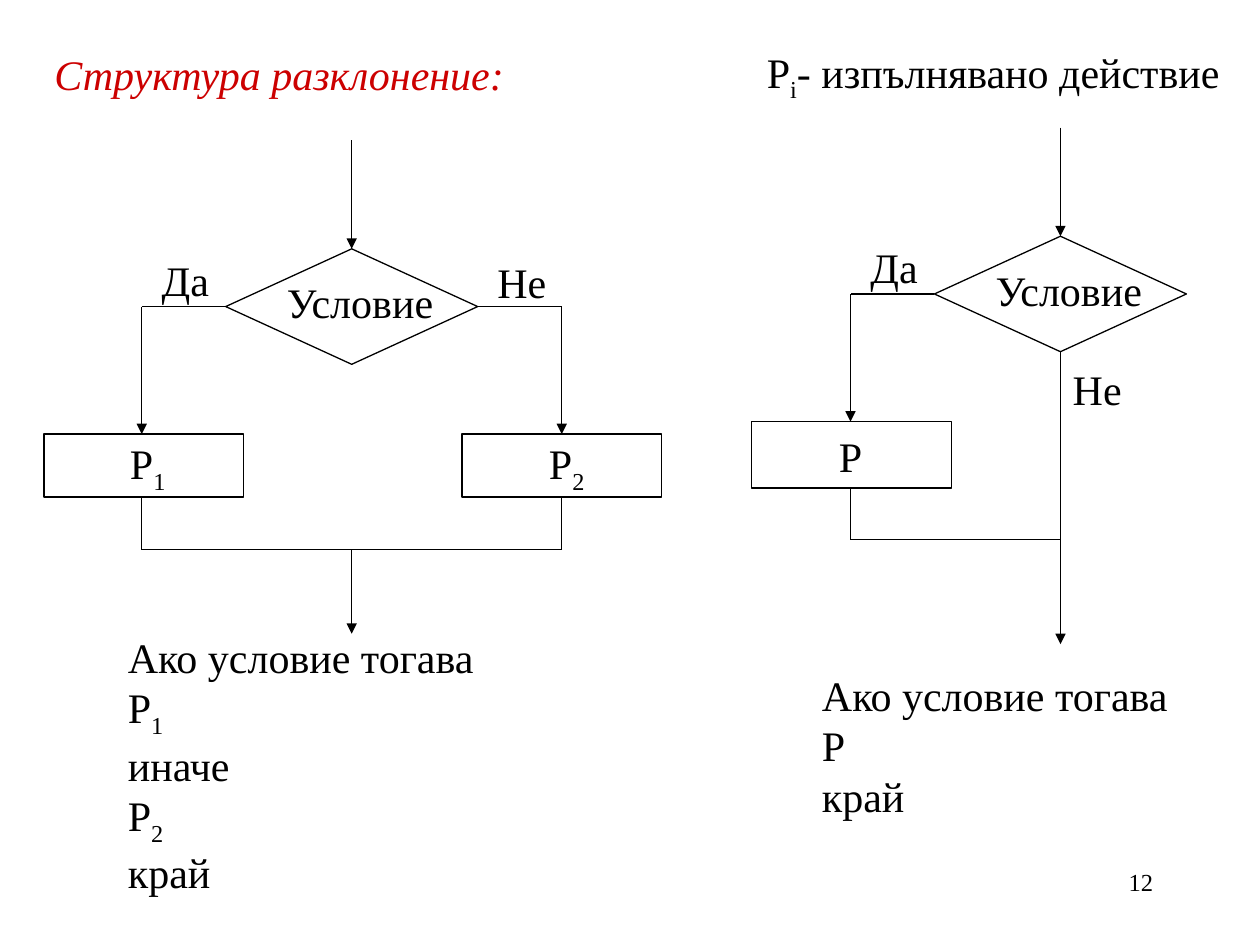
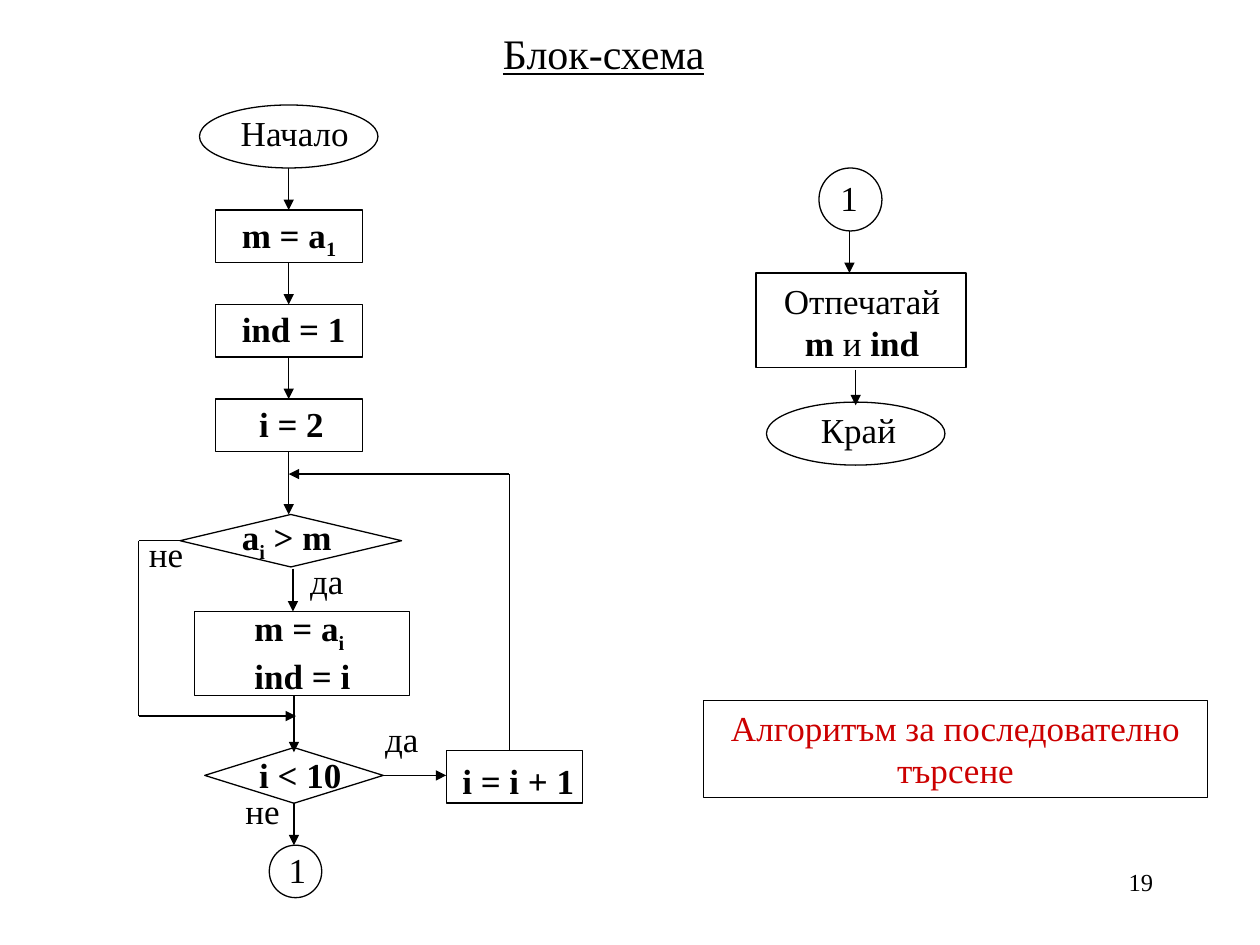
from dataclasses import dataclass
from typing import Any

from lxml import etree
from pptx import Presentation
from pptx import util as u
from pptx.dml.color import RGBColor
from pptx.enum import shapes, text
from pptx.oxml import ns

COLORS = {"ink": "000000", "accent": "CC0000"}
FONT = "Times New Roman"
WIDTH, HEIGHT = u.Inches(10), u.Inches(7.5)
CELL = WIDTH / 240  # the slide is a grid of 240 columns and 180 rows
LINE_WIDTH = u.Pt(0.75)
LARGE, MEDIUM, SMALL = 24, 20, 14
KINDS = {
    "box": shapes.MSO_SHAPE.RECTANGLE,
    "decision": shapes.MSO_SHAPE.DIAMOND,
    "oval": shapes.MSO_SHAPE.OVAL,
}


def cells(*counts):
    return [round(count * CELL) for count in counts]


def color(name):
    return RGBColor.from_string(COLORS[name])


def write(frame, spans, size, tint="ink", align="LEFT", margin=True, **style):
    """Spans starting with _ are subscripts, those starting with * are bold."""
    frame.word_wrap = True
    frame.vertical_anchor = text.MSO_ANCHOR.TOP
    if not margin:
        frame.margin_left = frame.margin_right = 0
        frame.margin_top = frame.margin_bottom = 0
    para = frame.paragraphs[0]
    para.alignment = getattr(text.PP_ALIGN, align)
    para.font.name, para.font.size = FONT, u.Pt(size)
    para.font.color.rgb = color(tint)
    for name, value in style.items():
        setattr(para.font, name, value)
    for part in [spans] if isinstance(spans, str) else spans:
        if part == "\n":
            para.add_line_break()
            continue
        span = para.add_run()
        span.text = part.lstrip("_*")
        if part.startswith("_"):
            span.font._element.set("baseline", "-25000")
        elif part.startswith("*"):
            span.font.bold = True


@dataclass
class Region:
    """Part of a page; x runs from its axis and y from its top, in cells."""
    page: Any
    axis: float = 0
    top: float = 0

    def place(self, x, y):
        return cells(self.axis + x, self.top + y)

    def shape(self, kind, x, y, width, height):
        item = self.page.shapes.add_shape(
            KINDS[kind], *self.place(x, y), *cells(width, height))
        item.shadow.inherit = False
        item.fill.background()
        item.line.color.rgb = color("ink")
        item.line.width = LINE_WIDTH
        return item

    def label(self, spans, x, y, width, height=10.5, size=MEDIUM, **style):
        box = self.page.shapes.add_textbox(
            *self.place(x, y), *cells(width, height))
        write(box.text_frame, spans, size, **style)

    def route(self, *points, arrow=True):
        """Straight connectors through the points, the last with a head."""
        for start, end in zip(points, points[1:]):
            link = self.page.shapes.add_connector(
                shapes.MSO_CONNECTOR.STRAIGHT,
                *self.place(*start), *self.place(*end))
            link.line.color.rgb = color("ink")
            link.line.width = LINE_WIDTH
            if arrow and end == points[-1]:
                head = etree.SubElement(
                    link.line._get_or_add_ln(), ns.qn("a:tailEnd"))
                head.set("type", "triangle")
            etree.SubElement(link._element.spPr, ns.qn("a:effectLst"))


def page_number(page, number):
    Region(page).label(number, 172, 164, 50, 12, size=SMALL, align="RIGHT")


# Branching: parts that both forms share
LEG, MIDDLE, ACTION, JOIN = 40, 31.7, 56, 78


def branch_head(region):
    region.route((0, 0), (0, 20.7))
    region.shape("decision", -24, 20.7, 48, 22)
    branch_label(region, "Условие", -15.4, 26, 34)
    region.route((-24, MIDDLE), (-LEG, MIDDLE), (-LEG, ACTION))
    branch_label(region, "Да", -37.7, 21.7)


def branch_label(region, words, x, y, width=12):
    region.label(words, x, y, width, 9.6, size=LARGE, align="CENTER",
                 margin=False)


def full_branch(region):
    branch_head(region)
    region.route((24, MIDDLE), (LEG, MIDDLE), (LEG, ACTION))
    branch_label(region, "Не", 26.4, 22.1)
    for x, text_x, index in ((-58.6, -44.6, "_1"), (21, 35.2, "_2")):
        region.shape("box", x, ACTION, 38, 12)
        region.label(["P", index], text_x, 55.5, 14, 13.5, size=LARGE)
    region.route((-LEG, 68), (-LEG, JOIN), (LEG, JOIN), (LEG, 68),
                 arrow=False)
    region.route((0, JOIN), (0, 94))
    region.label(["Ако условие тогава", "\n", "Р", "_1", "\n", "иначе", "\n",
                  "Р", "_2", "\n", "край"], -45, 92.4, 114, 53, size=LARGE)


def short_branch(region):
    branch_head(region)
    region.shape("box", -58.8, ACTION, 38, 12.7)
    branch_label(region, "Р", -46, 57.8)
    region.route((0, 42.5), (0, 98.4))
    branch_label(region, "Не", 1, 44.9)
    region.route((-LEG, 68.7), (-LEG, JOIN + 0.5), (0, JOIN + 0.5),
                 arrow=False)
    region.label(["Ако условие тогава", "\n", "Р", "\n", "край"],
                 -47.8, 102, 86, 31, size=LARGE)


def branching_page(page):
    head = Region(page)
    head.label("Структура разклонение:", 8, 8, 178, 12, size=LARGE,
               tint="accent", italic=True)
    head.label(["Р", "_i", "- изпълнявано действие"], 143.7, 7.6, 94, 13.5,
               size=LARGE)
    full_branch(Region(page, 67, 26.7))
    short_branch(Region(page, 202, 24.3))
    page_number(page, "12")


# Flowchart: start, three assignments, then the search loop
def setup_steps(region):
    region.shape("oval", -17, 0, 34, 12)
    region.label("Начало", -11.5, 0, 26)
    region.route((0, 12), (0, 20))
    steps = ((["m = a", "_1"], -11.3, 38), ("ind = 1", -11.3, 56),
             ("i = 2", -8, 78))
    for row, (spans, text_x, next_y) in enumerate(steps):
        y = 20 + 18 * row
        region.shape("box", -14, y, 28, 10)
        region.label(spans, text_x, y - 0.6, 27, bold=True)
        region.route((0, y + 10), (0, next_y))


def search_loop(region):
    # Comparison and update of the maximum
    region.shape("decision", -20.7, 78, 42.2, 10)
    region.label(["a", "_i", " > m"], -11.3, 77, 28, bold=True)
    region.route((0.8, 88.3), (0.8, 96.5))
    region.shape("box", -18, 96.5, 41, 16)
    region.label(["m = a", "_i", "\n", "ind = i"], -8.9, 94.3, 28, 19.7,
                 bold=True)
    region.route((-20.7, 83), (-28.6, 83), (-28.6, 116.4), (1.4, 116.4))

    # End test, counter and way back
    region.route((1, 112.4), (1, 123.3))
    region.shape("decision", -16, 122.4, 34, 10.6)
    region.label("i < 10", -8, 122.4, 21, bold=True)
    region.route((18, 127.7), (30, 127.7))
    region.shape("box", 30, 123, 26, 10)
    region.label("i = i + 1", 30.7, 123.4, 28, bold=True)
    region.route((42, 122.9), (42, 70.3), (0, 70.3))

    # Exit to the second column
    region.route((1, 133), (1, 141))
    region.shape("oval", -3.7, 141, 10, 10)
    for words, x, y in (("да", 1.7, 85.4), ("не", -29, 80.2),
                        ("да", 16, 115.4), ("не", -10.6, 129.1),
                        ("1", -2.4, 140.4)):
        region.label(words, x, y, 12)


def output_steps(region):
    region.shape("oval", -6, 0, 12, 12)
    region.label("1", -4.3, 0.5, 10)
    region.route((-0.2, 12), (-0.2, 20))
    region.shape("box", -18, 20, 40, 18)
    region.label(["Отпечатай ", "*m ", "и ", "*ind"], -17.3, 20, 39, 18.5,
                 align="CENTER")
    region.shape("oval", -16, 44.6, 34, 12)
    region.label("Край", -8, 44.6, 26)
    region.route((1, 38.4), (1, 45.2))


def flowchart_page(page):
    head = Region(page)
    head.label("Блок-схема", 90, 4, 50, 12, size=LARGE, align="CENTER",
               underline=True)
    flow = Region(page, 55, 20)
    setup_steps(flow)
    search_loop(flow)
    output_steps(Region(page, 162, 32))
    caption = head.shape("box", 134, 133.4, 96, 18.5)
    write(caption.text_frame, "Алгоритъм за последователно търсене", MEDIUM,
          tint="accent", align="CENTER")
    page_number(page, "19")


def main():
    deck = Presentation()
    deck.slide_width, deck.slide_height = WIDTH, HEIGHT
    for build in (branching_page, flowchart_page):
        build(deck.slides.add_slide(deck.slide_layouts[6]))
    deck.save("out.pptx")


if __name__ == "__main__":
    main()
